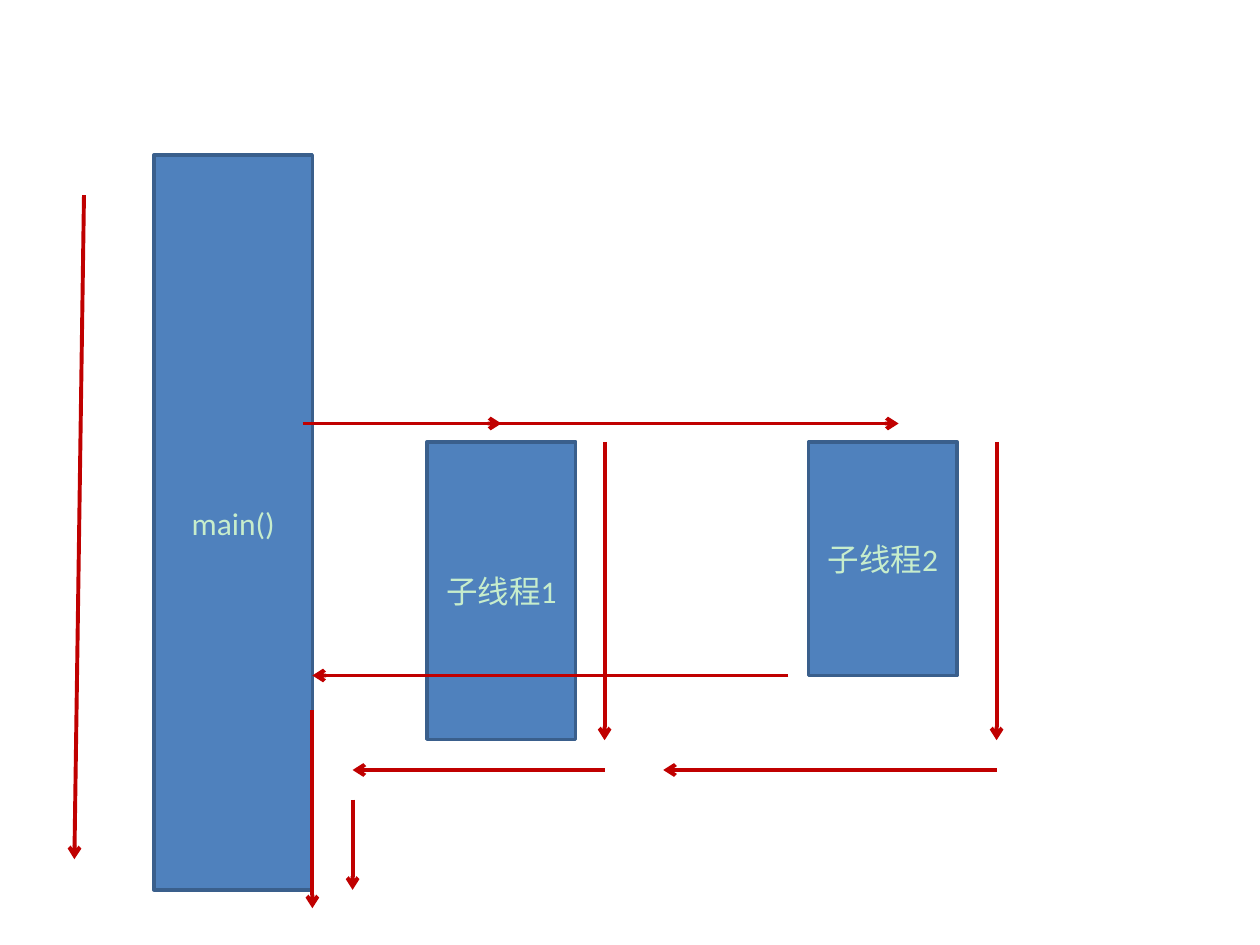
from lxml.etree import SubElement
from pptx import Presentation
from pptx.dml.color import RGBColor
from pptx.enum.shapes import MSO_CONNECTOR, MSO_SHAPE
from pptx.enum.text import MSO_ANCHOR, PP_ALIGN
from pptx.oxml.ns import qn
from pptx.util import Pt

BLUE = RGBColor(0x4F, 0x81, 0xBD)
BORDER = RGBColor(0x3A, 0x5F, 0x8C)
RED = RGBColor(0xC0, 0x00, 0x00)
PALE_GREEN = RGBColor(0xC7, 0xED, 0xCC)


def set_text(tf, text, font="Calibri", size=18, color=PALE_GREEN, align=PP_ALIGN.CENTER):
    """Write one formatted line of text, centred vertically."""
    tf.word_wrap = True
    tf.vertical_anchor = MSO_ANCHOR.MIDDLE
    p = tf.paragraphs[0]
    p.alignment = align
    r = p.add_run()
    r.text = text
    r.font.name = font
    r.font.size = Pt(size)
    r.font.color.rgb = color


def add_block(s, text, left, top, width, height):
    """Add a labelled thread rectangle."""
    sp = s.shapes.add_shape(MSO_SHAPE.RECTANGLE, Pt(left), Pt(top), Pt(width), Pt(height))
    sp.shadow.inherit = False
    sp.fill.solid()
    sp.fill.fore_color.rgb = BLUE
    sp.line.color.rgb = BORDER
    sp.line.width = Pt(2)
    set_text(sp.text_frame, text)


def add_arrow(s, x1, y1, x2, y2):
    """Add a red arrow pointing at its second end."""
    line = s.shapes.add_connector(MSO_CONNECTOR.STRAIGHT, Pt(x1), Pt(y1), Pt(x2), Pt(y2))
    line.line.color.rgb = RED
    line.line.width = Pt(2.25)
    SubElement(line.line._get_or_add_ln(), qn("a:tailEnd"), type="arrow")
    SubElement(line._element.spPr, qn("a:effectLst"))


def add_main_thread(s, left, top, width, height):
    """Draw the main thread with its run arrow and its arrows after the returns."""
    right, bottom = left + width, top + height
    add_block(s, "main()", left, top, width, height)
    add_arrow(s, left - 40, top + 23, left - 45.5, bottom - 17.5)
    add_arrow(s, right + 23, bottom - 51.5, right + 23, bottom)
    add_arrow(s, right, bottom - 102.5, right, bottom + 10.5)


def add_child_thread(s, text, left, top, width, height, call_from, call_to, run_gap, return_to):
    """Draw a child thread with its call, run and return arrows."""
    call_y, return_y = top - 10.5, top + 187.5
    run_x = left + width + run_gap
    add_block(s, text, left, top, width, height)
    add_arrow(s, call_from, call_y, call_to, call_y)
    add_arrow(s, run_x, top, run_x, top + 170.5)
    add_arrow(s, run_x, return_y, return_to, return_y)


def main():
    """Build the thread diagram and save it."""
    prs = Presentation()
    prs.slide_width, prs.slide_height = Pt(720), Pt(540)
    s = prs.slides.add_slide(prs.slide_layouts[6])
    main_right = 178.5
    add_main_thread(s, 88, 88.5, 90.5, 420)
    add_child_thread(s, "子线程1", 244, 252.5, 85, 170, call_from=main_right - 5.5,
                     call_to=286.5, run_gap=16.5, return_to=201.5)
    add_child_thread(s, "子线程2", 462, 252.5, 85, 133.5, call_from=main_right,
                     call_to=513.5, run_gap=22.5, return_to=379)
    add_arrow(s, 450.5, 386, main_right, 386)
    prs.save("out.pptx")


if __name__ == "__main__":
    main()
